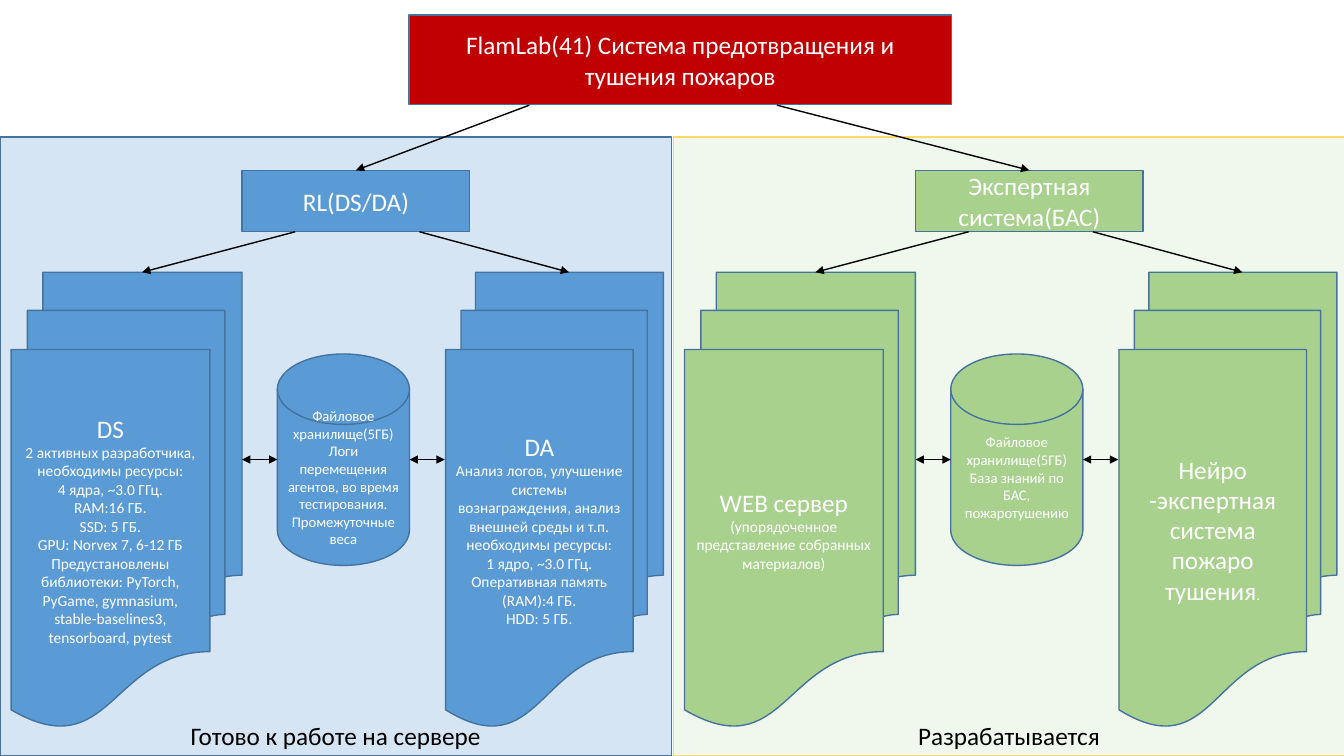
from lxml.etree import SubElement
from pptx import Presentation
from pptx.dml.color import RGBColor
from pptx.enum.shapes import MSO_CONNECTOR as Line, MSO_SHAPE as Shape
from pptx.enum.text import MSO_ANCHOR as Anchor, PP_ALIGN as Align
from pptx.oxml.ns import qn
from pptx.util import Cm, Pt

BLUE = RGBColor(0x5B, 0x9B, 0xD5)
GREEN = RGBColor(0xA9, 0xD1, 0x8E)
PALE_GREEN = RGBColor(0xC5, 0xE0, 0xB4)
RED = RGBColor(0xC0, 0x00, 0x00)
OUTLINE = RGBColor(0x43, 0x73, 0x9E)
YELLOW = RGBColor(0xFF, 0xD9, 0x66)
WHITE = RGBColor(0xFF, 0xFF, 0xFF)
BLACK = RGBColor(0x00, 0x00, 0x00)

HEADING, BODY, STORE = 18, 11, 10.5
HALF_STEP = 16.97
ARROW_LEVEL = 11.58


def set_values(target, values):
    for name, value in values.items():
        setattr(target, name, value)


def lines(size, *texts):
    return [[(text, size)] for text in texts]


def add_box(page, kind, place, fill, paragraphs, outline=OUTLINE,
            ink=WHITE, anchor=Anchor.MIDDLE):
    box = page.shapes.add_shape(kind, *map(Cm, place))
    box.shadow.inherit = False
    box.fill.solid()
    box.fill.fore_color.rgb = fill
    box.line.color.rgb = outline
    box.line.width = Pt(1)
    frame = box.text_frame
    set_values(frame, {"word_wrap": True, "vertical_anchor": anchor})
    for number, spans in enumerate(paragraphs):
        para = frame.add_paragraph() if number else frame.paragraphs[0]
        para.alignment = Align.CENTER
        for text, size in spans:
            span = para.add_run()
            span.text = text
            set_values(span.font, {"name": "Calibri", "size": Pt(size)})
            span.font.color.rgb = ink
    return box


def add_panel(page, left, fill, outline, caption):
    panel = add_box(page, Shape.RECTANGLE, (left, 3.45, 16.92, 15.6), fill,
                    lines(HEADING, caption), outline, BLACK, Anchor.BOTTOM)
    color = panel.fill._xPr.find(qn("a:solidFill"))[0]
    SubElement(color, qn("a:alpha"), val="25000")


def add_arrow(page, start, end, width=1, both_ends=False, target=None):
    arrow = page.shapes.add_connector(Line.STRAIGHT, *map(Cm, start + end))
    if target is not None:
        arrow.end_connect(target, 0)
    arrow.line.color.rgb = BLACK
    arrow.line.width = Pt(width)
    outline = arrow.line._get_or_add_ln()
    if both_ends:
        SubElement(outline, qn("a:headEnd"), type="triangle")
    SubElement(outline, qn("a:tailEnd"), type="triangle")
    SubElement(arrow._element.spPr, qn("a:effectLst"))


def add_branch(page, left, fill, name, first, store, second, title_exit):
    head = add_box(page, Shape.RECTANGLE, (left + 6.1, 4.29, 5.74, 1.55),
                   fill, lines(HEADING, name))
    for offset, width, text in ((0.28, 5.82, first), (11.23, 5.49, second)):
        add_box(page, Shape.FLOWCHART_MULTIDOCUMENT,
                (left + offset, 6.86, width, 11.46), fill, text)
    add_box(page, Shape.FLOWCHART_MAGNETIC_DISK,
            (left + 6.99, 8.92, 3.33, 5.33), fill, store)

    add_arrow(page, (title_exit, 2.65), (left + 8.97, 4.29), target=head)
    for start, end in ((7.44, 3.58), (10.57, 14.34)):
        add_arrow(page, (left + start, 5.84), (left + end, 6.86))
    for start, end in ((6.99, 6.1), (11.21, 10.32)):
        add_arrow(page, (left + start, ARROW_LEVEL), (left + end, ARROW_LEVEL),
                  0.5, True)


def main():
    deck = Presentation()
    set_values(deck, {"slide_width": Cm(33.87), "slide_height": Cm(19.05)})
    page = deck.slides.add_slide(deck.slide_layouts[6])

    add_panel(page, HALF_STEP, PALE_GREEN, YELLOW, "Разрабатывается")
    add_panel(page, 0, BLUE, OUTLINE, "Готово к работе на сервере")
    add_box(page, Shape.RECTANGLE, (10.31, 0.38, 13.67, 2.26), RED,
            lines(HEADING, "FlamLab(41) Система предотвращения и тушения пожаров"))

    developers = lines(HEADING, "DS") + lines(
        BODY, "2 активных разработчика, необходимы ресурсы:",
        "4 ядра, ~3.0 ГГц.", "RAM:16 ГБ.", "SSD: 5 ГБ.",
        "GPU: Norvex 7, 6-12 ГБ",
        "Предустановлены библиотеки: PyTorch, PyGame, gymnasium, "
        "stable-baselines3, tensorboard, pytest")
    analysts = lines(HEADING, "DA") + lines(
        BODY, "Анализ логов, улучшение системы вознаграждения, "
        "анализ внешней среды и т.п.", "необходимы ресурсы:",
        "1 ядро, ~3.0 ГГц.", "Оперативная память (RAM):4 ГБ.",
        "HDD: 5 ГБ.")
    logs = lines(STORE, "Файловое хранилище(5ГБ)",
                 "Логи перемещения агентов, во время тестирования.",
                 "Промежуточные веса")
    add_branch(page, 0, BLUE, "RL(DS/DA)", developers, logs, analysts, 13.34)

    web_server = lines(HEADING, "WEB сервер") + lines(
        BODY, "(упорядоченное представление собранных материалов)")
    knowledge = lines(STORE, "Файловое хранилище(5ГБ)",
                      "База знаний по БАС, пожаротушению")
    neural = [[("Нейро -экспертная система пожаро тушения", HEADING),
               (".", BODY)]]
    add_branch(page, HALF_STEP, GREEN, "Экспертная система(БАС)",
               web_server, knowledge, neural, 19.58)

    deck.save("out.pptx")


if __name__ == "__main__":
    main()
